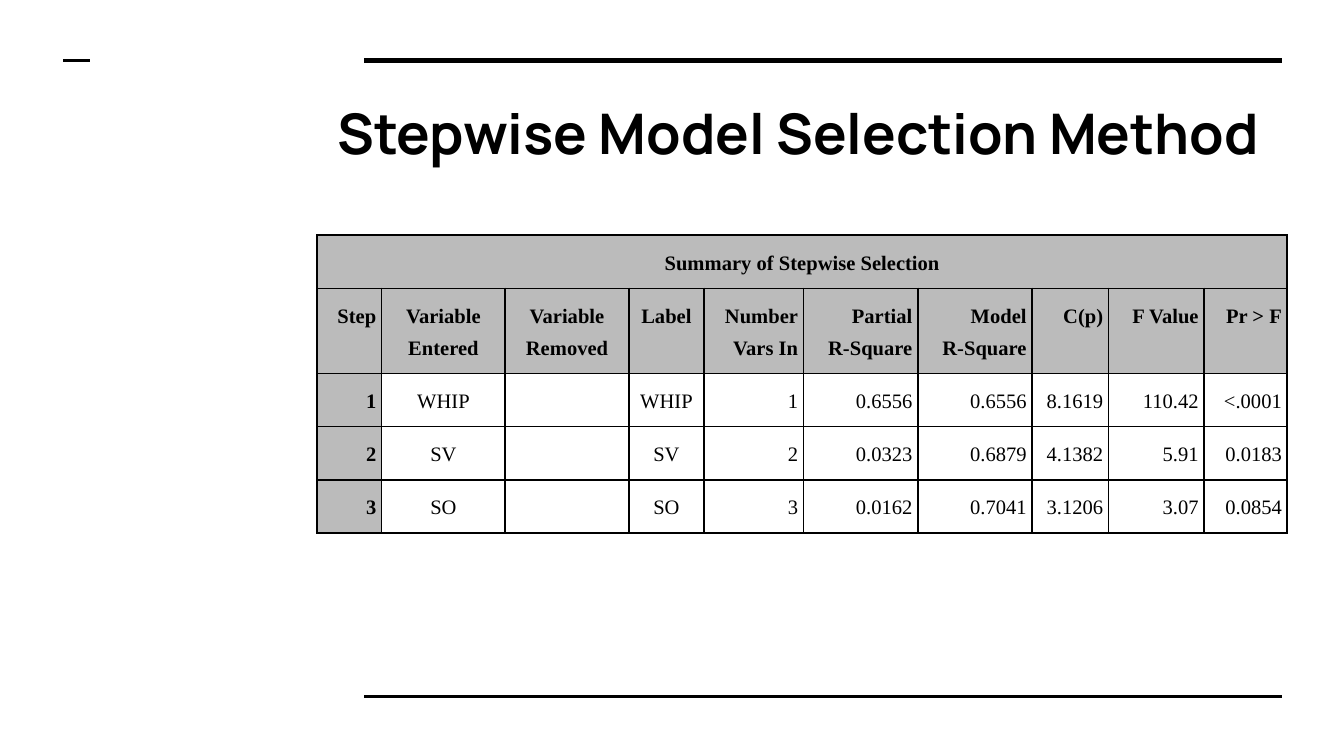
from lxml import etree
from pptx import Presentation
from pptx.dml.color import RGBColor
from pptx.enum import shapes, text
from pptx.oxml.ns import qn
from pptx.util import Inches, Pt

BLACK, GRAY, WHITE = "000000", "BBBBBB", "FFFFFF"
COLUMN_WIDTHS = [0.48, 0.92, 0.92, 0.56, 0.74, 0.85, 0.85, 0.57, 0.71, 0.62]
ROW_HEIGHTS = [0.28, 0.47, 0.3, 0.3, 0.3]
CENTERED_COLUMNS = {1, 2, 3}
ROWS = [
    ["Summary of Stepwise Selection"] + [""] * 9,
    ["Step", "Variable\nEntered", "Variable\nRemoved", "Label", "Number\nVars In",
     "Partial\nR-Square", "Model\nR-Square", "C(p)", "F Value", "Pr > F"],
    ["1", "WHIP", "", "WHIP", "1", "0.6556", "0.6556", "8.1619", "110.42", "<.0001"],
    ["2", "SV", "", "SV", "2", "0.0323", "0.6879", "4.1382", "5.91", "0.0183"],
    ["3", "SO", "", "SO", "3", "0.0162", "0.7041", "3.1206", "3.07", "0.0854"],
]


def color(hex_string):
    return RGBColor.from_string(hex_string)


def add_borders(cell):
    properties = cell._tc.get_or_add_tcPr()
    for position, side in enumerate(("lnL", "lnR", "lnT", "lnB")):
        line = etree.Element(qn("a:" + side), w=str(Pt(1)))
        fill = etree.SubElement(line, qn("a:solidFill"))
        etree.SubElement(fill, qn("a:srgbClr"), val=BLACK)
        properties.insert(position, line)


# Widescreen page, 16:9
deck = Presentation()
deck.slide_width, deck.slide_height = Inches(10), Inches(10 * 9 / 16)
page = deck.slides.add_slide(deck.slide_layouts[5])

# Rules at the top and bottom, and the short dash at the left
for left, right, y, width in [(2.71, 9.54, 0.45, 3), (2.71, 9.54, 5.18, 1.5),
                              (0.47, 0.67, 0.45, 1.5)]:
    rule = page.shapes.add_connector(shapes.MSO_CONNECTOR.STRAIGHT, Inches(left),
                                     Inches(y), Inches(right), Inches(y))
    rule.line.color.rgb = color(BLACK)
    rule.line.width = Pt(width)
    etree.SubElement(rule._element.spPr, qn("a:effectLst"))

# Title
title = page.shapes.title
title.left, title.top = Inches(2.41), Inches(0.63)
title.width, title.height = Inches(7.13), Inches(0.69)
frame = title.text_frame
frame.text = "Stepwise Model Selection Method"
frame.word_wrap = True
frame.auto_size = text.MSO_AUTO_SIZE.NONE
frame.vertical_anchor = text.MSO_ANCHOR.TOP
frame.margin_left = frame.margin_right = Inches(0.1)
frame.margin_top = frame.margin_bottom = Inches(0.1)
paragraph = frame.paragraphs[0]
paragraph.alignment = text.PP_ALIGN.LEFT
span = paragraph.runs[0]
span.font.name, span.font.size, span.font.bold = "Manrope", Pt(30), True
span.font.color.rgb = color(BLACK)

# Table grid
table = page.shapes.add_table(len(ROWS), len(COLUMN_WIDTHS), Inches(2.36), Inches(1.75),
                              Inches(sum(COLUMN_WIDTHS)), Inches(sum(ROW_HEIGHTS))).table
table.horz_banding = False
for column, width in zip(table.columns, COLUMN_WIDTHS):
    column.width = Inches(width)
for row, height in zip(table.rows, ROW_HEIGHTS):
    row.height = Inches(height)
table.cell(0, 0).merge(table.cell(0, len(COLUMN_WIDTHS) - 1))

# Table cells: the first two rows and the first column are headers
for row_index, values in enumerate(ROWS):
    for column_index, value in enumerate(values):
        cell = table.cell(row_index, column_index)
        is_header = row_index < 2 or column_index == 0
        cell.fill.solid()
        cell.fill.fore_color.rgb = color(GRAY if is_header else WHITE)
        add_borders(cell)
        cell.margin_left = cell.margin_right = Inches(0.04)
        cell.margin_top = cell.margin_bottom = Inches(0.1 if value else 0)
        if not value:
            continue
        cell.text_frame.text = value
        is_centered = row_index == 0 or column_index in CENTERED_COLUMNS
        for paragraph in cell.text_frame.paragraphs:
            paragraph.alignment = text.PP_ALIGN.CENTER if is_centered else text.PP_ALIGN.RIGHT
            paragraph.line_spacing = 1.15
            paragraph.space_before = Pt(3)
            span = paragraph.runs[0]
            span.font.name, span.font.size = "Times New Roman", Pt(11)
            span.font.bold = is_header
            span.font.color.rgb = color(BLACK)
        paragraph.space_after = Pt(3)

deck.save("out.pptx")
